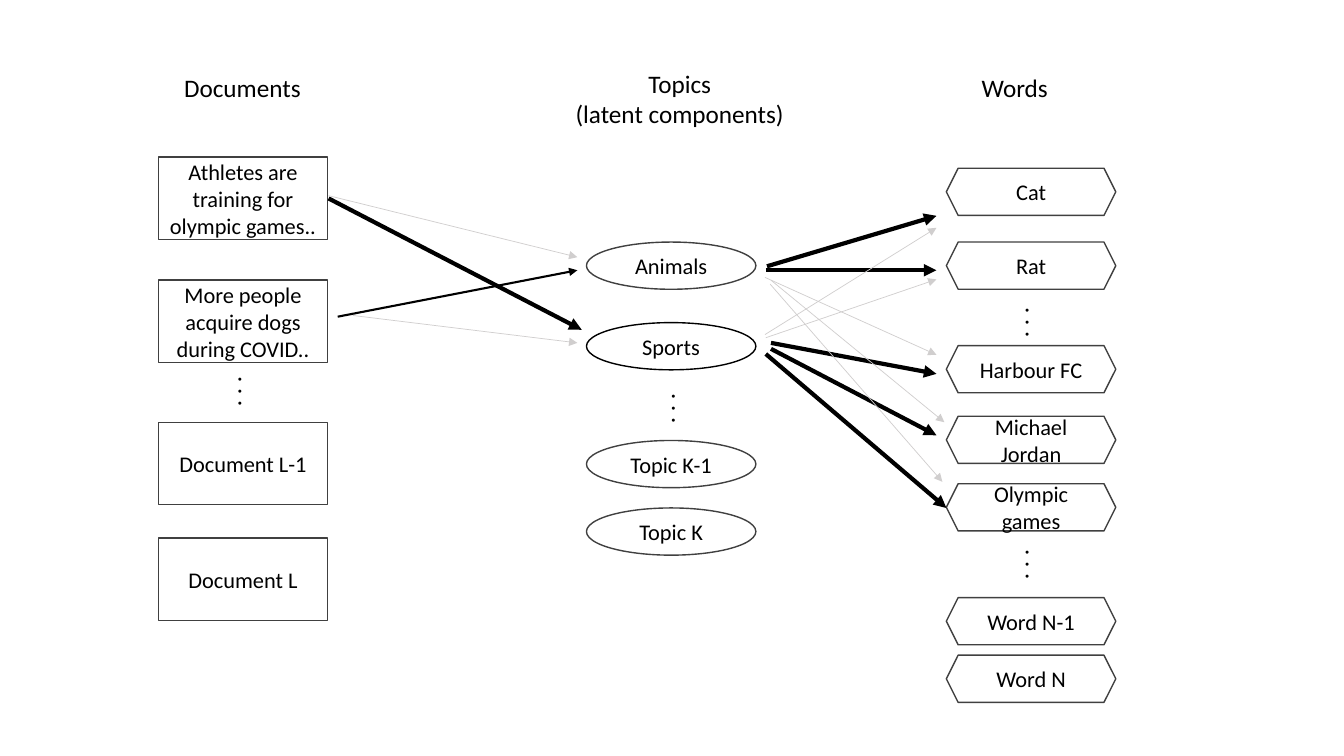
from lxml import etree
from pptx import Presentation
from pptx.dml.color import RGBColor
from pptx.enum.shapes import MSO_CONNECTOR, MSO_SHAPE
from pptx.enum.text import MSO_ANCHOR, PP_ALIGN
from pptx.oxml.ns import qn
from pptx.util import Cm, Pt

RECTANGLE, ELLIPSE, HEXAGON = MSO_SHAPE.RECTANGLE, MSO_SHAPE.OVAL, MSO_SHAPE.HEXAGON
STRAIGHT = MSO_CONNECTOR.STRAIGHT
MIDDLE = MSO_ANCHOR.MIDDLE
LEFT, CENTER = PP_ALIGN.LEFT, PP_ALIGN.CENTER

FONT = "Calibri"
COLORS = {"white": "FFFFFF", "black": "000000", "outline": "404040", "weak": "D0CECE"}

# Shared layout, in centimetres
TOP = 1.6
NODE_WIDTH = 4.27
DOCUMENTS_LEFT, TOPICS_LEFT, WORDS_LEFT = 3.99, 14.78, 23.85
DOTS_WIDTH, DOTS_HEIGHT = 2.01, 1.02


def color(name):
    return RGBColor.from_string(COLORS[name])


def write(text_frame, text, size, alignment):
    text_frame.text = text
    for paragraph in text_frame.paragraphs:
        paragraph.alignment = alignment
        for run in paragraph.runs:
            run.font.name = FONT
            run.font.size = Pt(size)
            run.font.color.rgb = color("black")


def add_label(slide, box, text, alignment=LEFT, wrap=False):
    label = slide.shapes.add_textbox(*map(Cm, box))
    label.text_frame.word_wrap = wrap
    write(label.text_frame, text, 18, alignment)
    return label


def add_node(slide, box, kind, text, outline):
    node = slide.shapes.add_shape(kind, *map(Cm, box))
    node.shadow.inherit = False
    node.fill.solid()
    node.fill.fore_color.rgb = color("white")
    node.line.color.rgb = color(outline)
    node.line.width = Pt(1)
    node.text_frame.word_wrap = True
    node.text_frame.vertical_anchor = MIDDLE
    write(node.text_frame, text, 16, CENTER)


def add_arrow(slide, start, end, shade, width):
    arrow = slide.shapes.add_connector(STRAIGHT, *map(Cm, start + end))
    arrow.line.color.rgb = color(shade)
    arrow.line.width = Pt(width)
    etree.SubElement(arrow.line._get_or_add_ln(), qn("a:tailEnd"), type="triangle")
    etree.SubElement(arrow._element.spPr, qn("a:effectLst"))


def add_column(slide, left, top, kind, height, nodes, dots_x, dots_tops, emphasized=()):
    """Stack nodes and vertical ellipses at offsets below the column's top."""
    for text, offset in nodes:
        outline = "black" if text in emphasized else "outline"
        add_node(slide, (left, top + offset, NODE_WIDTH, height), kind, text, outline)
    for offset in dots_tops:
        box = (left + dots_x, top + offset, DOTS_WIDTH, DOTS_HEIGHT)
        add_label(slide, box, " . . .", wrap=True).rotation = 90


def add_documents(slide, left, top):
    add_label(slide, (left + 0.4, top + 0.1, 3.48, 1.02), "Documents")
    nodes = [
        ("Athletes are training for olympic games..", 2.36),
        ("More people acquire dogs during COVID..", 5.46),
        ("Document L-1", 9.04),
        ("Document L", 11.96),
    ]
    add_column(slide, left, top, RECTANGLE, 2.08, nodes, 1.27, [7.98])


def add_topics(slide, left, top):
    add_label(slide, (left - 0.56, top, 5.82, 1.8), "Topics\n(latent components)", CENTER)
    nodes = [("Animals", 4.5), ("Sports", 6.53), ("Topic K-1", 9.5), ("Topic K", 11.2)]
    add_column(slide, left, top, ELLIPSE, 1.19, nodes, 1.4, [8.41], {"Sports"})


def add_words(slide, left, top):
    add_label(slide, (left + 0.64, top + 0.1, 2.18, 1.02), "Words")
    nodes = [
        ("Cat", 2.64), ("Rat", 4.5), ("Harbour FC", 7.11), ("Michael Jordan", 8.89),
        ("Olympic games", 10.59), ("Word N-1", 13.46), ("Word N", 14.91),
    ]
    add_column(slide, left, top, HEXAGON, 1.19, nodes, 1.25, [6.25, 12.34])


def add_links(slide, left, top, links, shade, width):
    """Draw arrows whose ends are offsets from the gap's top left corner."""
    for x1, y1, x2, y2 in links:
        add_arrow(slide, (left + x1, top + y1), (left + x2, top + y2), shade, width)


def add_document_links(slide, left, top):
    add_links(slide, left, top, [(0.25, 6.38, 6.29, 5.21)], "black", 1.5)
    add_links(slide, left, top, [(0.02, 3.4, 6.4, 6.71)], "black", 3)
    weak = [(0.02, 3.33, 6.29, 4.88), (0.63, 6.35, 6.29, 7.04)]
    add_links(slide, left, top, weak, "weak", 0.5)


def add_word_links(slide, left, top):
    strong = [
        (0.28, 5.11, 4.55, 3.84),  # Animals
        (0.25, 5.21, 4.55, 5.21),
        (0.25, 7.32, 4.8, 11.2),  # Sports
        (0.38, 7.04, 4.55, 7.82),
        (0.38, 7.19, 4.55, 9.37),
    ]
    weak = [
        (0.23, 6.83, 4.55, 4.14),  # Sports
        (0.25, 6.91, 4.55, 5.44),
        (0.23, 5.39, 4.55, 7.34),  # Animals
        (0.38, 5.46, 4.75, 9.04),
        (0.36, 5.56, 4.7, 10.54),
    ]
    add_links(slide, left, top, strong, "black", 3)
    add_links(slide, left, top, weak, "weak", 0.5)


presentation = Presentation()
presentation.slide_width = Cm(33.87)
presentation.slide_height = Cm(19.05)
slide = presentation.slides.add_slide(presentation.slide_layouts[6])

# Columns
add_documents(slide, DOCUMENTS_LEFT, TOP)
add_topics(slide, TOPICS_LEFT, TOP)
add_words(slide, WORDS_LEFT, TOP)

# Arrows in the gaps between columns
add_document_links(slide, DOCUMENTS_LEFT + NODE_WIDTH, TOP)
add_word_links(slide, TOPICS_LEFT + NODE_WIDTH, TOP)

presentation.save("out.pptx")
